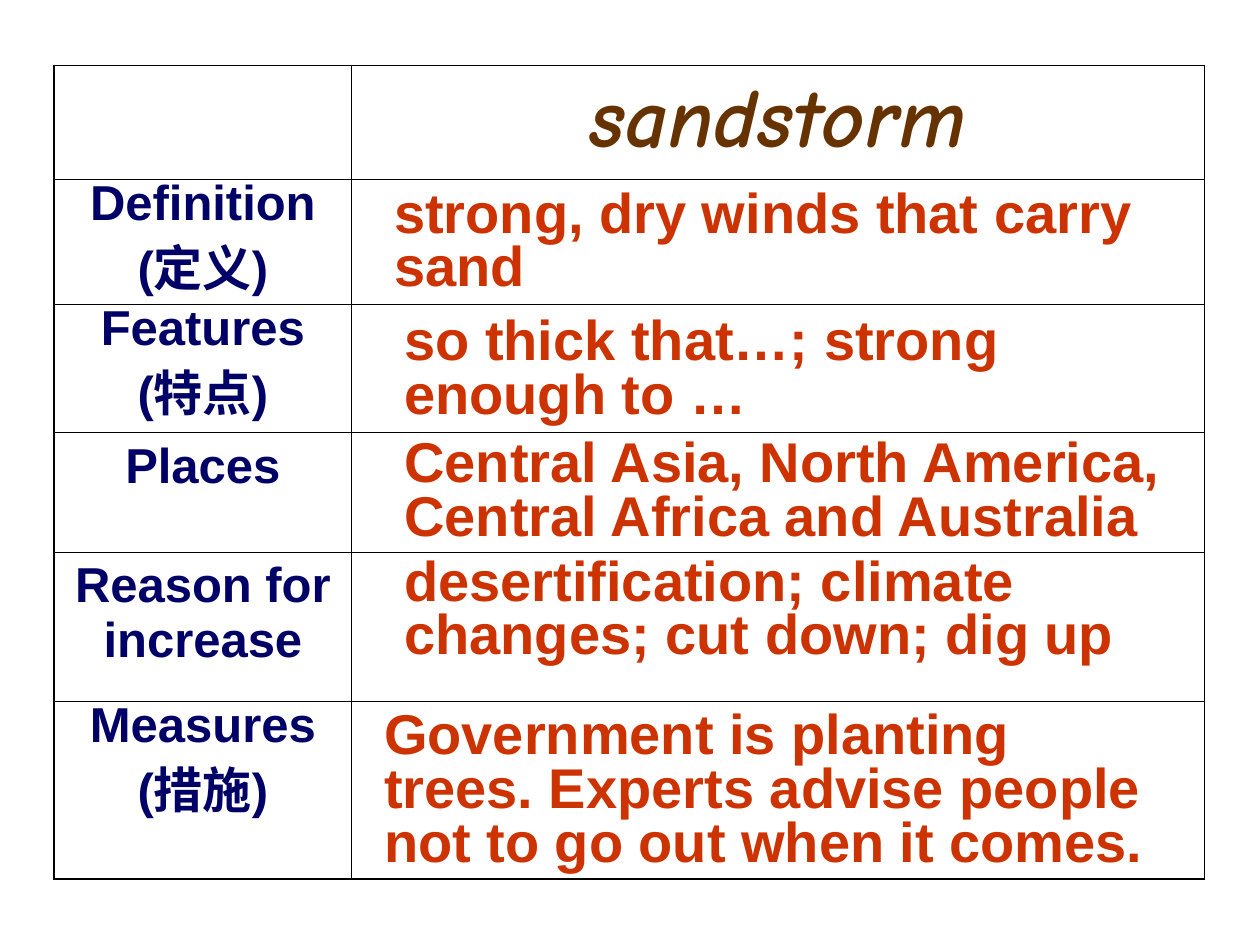
from itertools import accumulate

from lxml import etree
from pptx import Presentation
from pptx.dml.color import RGBColor
from pptx.enum.text import PP_ALIGN
from pptx.oxml.ns import qn
from pptx.util import Inches, Pt

CENTER, LEFT = PP_ALIGN.CENTER, PP_ALIGN.LEFT
NAVY = RGBColor(0x00, 0x00, 0x66)
BROWN = RGBColor(0x66, 0x33, 0x00)
RUST = RGBColor(0xCC, 0x33, 0x00)
BLACK = RGBColor(0, 0, 0)
THICK, THIN = 1.08, 0.45

# Grid of the table, in inches
GRID = (0.43, 0.52)
COLS = [2.36, 6.77]
ROWS = [0.9, 0.99, 1.02, 0.95, 1.18, 1.41]

TITLE = "sandstorm"
# Label and its line spacing, one for each row below the title
LABELS = [
    ("Definition\n(定义)", 0.8),
    ("Features\n(特点)", 0.8),
    ("Places", 1.0),
    ("Reason for increase", 1.0),
    ("Measures\n(措施)", 0.8),
]
# Answer, then its offset in the cell, width and height
ANSWERS = [
    ("strong, dry winds that carry sand", 0.24, 0.04, 6.06, 0.96),
    ("so thick that…; strong enough to …", 0.32, 0.06, 5.75, 0.96),
    ("Central Asia, North America, Central Africa and Australia",
     0.32, 0.01, 6.22, 1.38),
    ("desertification; climate changes; cut down; dig up",
     0.32, 0, 6.38, 0.96),
    ("Government is planting trees. Experts advise people not to go out "
     "when it comes.", 0.16, 0.04, 6.46, 1.38),
]


def write(frame, text, size, color, name="Arial", align=LEFT,
          space=1.0, italic=False):
    frame.word_wrap = True
    frame.text = text
    for i, para in enumerate(frame.paragraphs):
        para.alignment = align
        para.line_spacing = space
        para.space_before = Pt(7 if i else 0)
        for run in para.runs:
            font = run.font
            font.name, font.size = name, Pt(size)
            font.bold, font.italic = True, italic
            font.color.rgb = color


def border(cell, sides):
    """Draw cell edges; the lines must stand before the fill."""
    props = cell._tc.get_or_add_tcPr()
    for i, (side, width) in enumerate(sides.items()):
        line = etree.Element(qn(f"a:ln{side}"), w=str(int(Pt(width))))
        fill = etree.SubElement(line, qn("a:solidFill"))
        etree.SubElement(fill, qn("a:srgbClr"), val=str(BLACK))
        props.insert(i, line)


def add_grid(slide, left, top):
    """Ruled table with the title and the row labels."""
    table = slide.shapes.add_table(
        len(ROWS), len(COLS), Inches(left), Inches(top),
        Inches(sum(COLS)), Inches(sum(ROWS))).table
    table.first_row = table.horz_banding = False
    for col, width in zip(table.columns, COLS):
        col.width = Inches(width)
    for row, height in zip(table.rows, ROWS):
        row.height = Inches(height)

    # Thick outer frame, thin inner rules
    for r in range(len(ROWS)):
        for c in range(len(COLS)):
            cell = table.cell(r, c)
            cell.fill.background()
            outer = {"L": c == 0, "R": c == len(COLS) - 1,
                     "T": r == 0, "B": r == len(ROWS) - 1}
            border(cell, {side: THICK if edge else THIN
                          for side, edge in outer.items()})

    write(table.cell(0, 1).text_frame, TITLE, 48, BROWN, "Comic Neue",
          CENTER, italic=True)
    for r, (text, space) in enumerate(LABELS, 1):
        write(table.cell(r, 0).text_frame, text, 28, NAVY,
              align=CENTER, space=space)


def add_answers(slide, left, top):
    """Answer boxes, each set from the corner of its cell."""
    tops = list(accumulate(ROWS, initial=top))[1:]
    for y, (text, dx, dy, width, height) in zip(tops, ANSWERS):
        box = slide.shapes.add_textbox(
            Inches(left + COLS[0] + dx), Inches(y + dy),
            Inches(width), Inches(height))
        write(box.text_frame, text, 32, RUST, space=0.8)


def main():
    deck = Presentation()
    deck.slide_width, deck.slide_height = Inches(10), Inches(7.5)
    slide = deck.slides.add_slide(deck.slide_layouts[6])
    add_grid(slide, *GRID)
    add_answers(slide, *GRID)
    deck.save("out.pptx")


if __name__ == "__main__":
    main()
